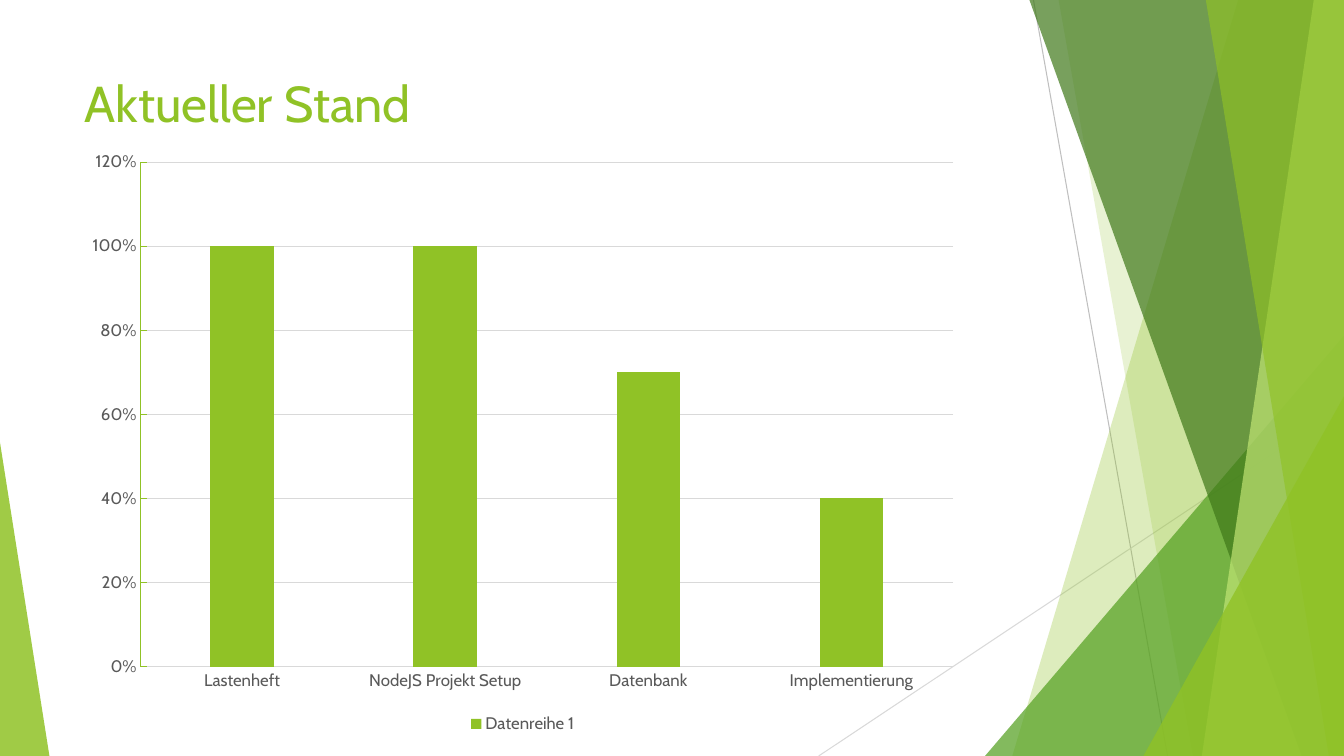
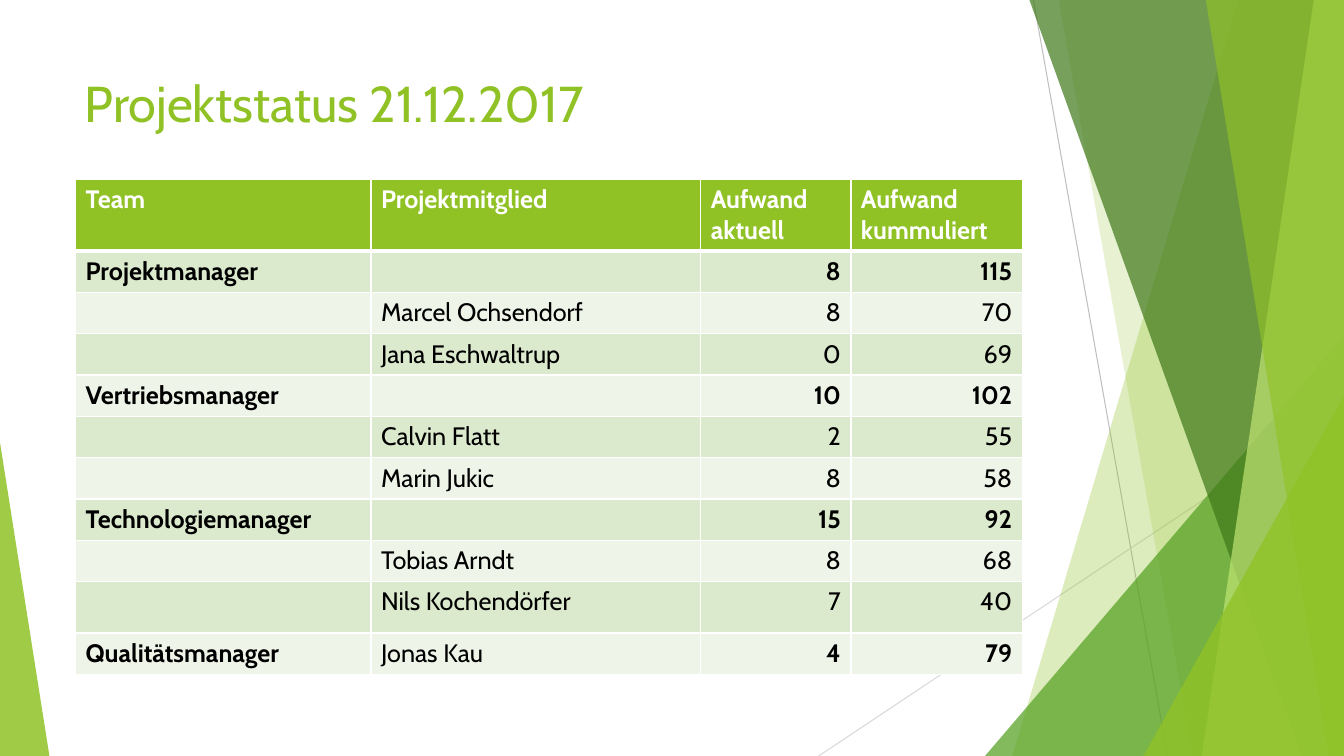
from lxml import etree
from pptx import Presentation
from pptx.chart.data import CategoryChartData
from pptx.dml.color import RGBColor
from pptx.enum import chart as ch, shapes as sh, text as tx
from pptx.oxml import ns
from pptx.util import Inches, Pt

FONT = "Cabin"
COLORS = {
    "lime": "90C226", "green": "54A021", "forest": "3F7819", "pale": "C0E474",
    "white": "FFFFFF", "black": "000000", "label": "595959",
    "grid": "D9D9D9", "ray": "BFBFBF",
    "band_dark": "DBE9CD", "band_light": "EEF4E8",
}
WIDTH, HEIGHT = 13.33, 7.5

# Backdrop: rays (start, end, colour), right-hand shards (left x at top,
# left x at bottom, colour, opacity) and corners (box, apex, colour, opacity)
RAYS = [((10.25, 0), (11.58, HEIGHT), "ray"),
        ((WIDTH, 4.03), (8.12, HEIGHT), "grid")]
BACK_SHARDS = [(12.28, 10.04, "lime", 30), (10.5, 11.83, "lime", 20)]
FRONT_SHARDS = [(10.21, 12.91, "forest", 70), (13.03, 11.92, "pale", 70),
                (11.96, 13.18, "lime", 65)]
BACK_CORNERS = [((9.77, 3.33, 3.56, 4.17), 1, "green", 72)]
FRONT_CORNERS = [((11.34, 3.93, 1.99, 3.57), 1, "lime", 80),
                 ((0, 4.39, 0.49, 3.11), 0, "lime", 85)]

PROGRESS = {"Lastenheft": 1, "NodeJS Projekt Setup": 1,
            "Datenbank": 0.7, "Implementierung": 0.4}

EFFORT_HEAD = ("Team", "Projektmitglied", "Aufwand aktuell", "Aufwand kummuliert")
EFFORT = [
    ("Projektmanager", "", 8, 115),
    ("", "Marcel Ochsendorf", 8, 70),
    ("", "Jana Eschwaltrup", 0, 69),
    ("Vertriebsmanager", "", 10, 102),
    ("", "Calvin Flatt", 2, 55),
    ("", "Marin Jukic", 8, 58),
    ("Technologiemanager", "", 15, 92),
    ("", "Tobias Arndt", 8, 68),
    ("", "Nils Kochendörfer", 7, 40),
    ("Qualitätsmanager", "Jonas Kau", 4, 79),
]
COLUMN_WIDTHS = (2.93, 3.27, 1.49, 1.7)
ROW_HEIGHTS = [0.71] + [0.41] * 8 + [0.51, 0.41]


def rgb(color):
    return RGBColor.from_string(COLORS[color])


def inches(values):
    return [Inches(value) for value in values]


def set_font(font, size, color, **settings):
    for key, value in {"name": FONT, "size": Pt(size), **settings}.items():
        setattr(font, key, value)
    font.color.rgb = rgb(color)


def set_line(line, color, width=0.75):
    line.color.rgb = rgb(color)
    line.width = Pt(width)


# Backdrop
def paint(shape, color, opacity):
    shape.shadow.inherit = False
    shape.fill.solid()
    shape.fill.fore_color.rgb = rgb(color)
    shape.line.fill.background()
    tint = shape.element.spPr.find(ns.qn("a:solidFill"))[0]
    etree.SubElement(tint, ns.qn("a:alpha"), val=str(opacity * 1000))


def add_ray(shapes, start, end, color):
    ray = shapes.add_connector(sh.MSO_CONNECTOR.STRAIGHT, *inches(start + end))
    set_line(ray.line, color)
    etree.SubElement(ray.element.spPr, ns.qn("a:effectLst"))


def add_shard(shapes, top_x, bottom_x, color, opacity):
    outline = shapes.build_freeform(Inches(top_x), 0)
    corners = [(WIDTH, 0), (WIDTH, HEIGHT), (bottom_x, HEIGHT)]
    outline.add_line_segments([inches(corner) for corner in corners], close=True)
    paint(outline.convert_to_shape(), color, opacity)


def add_corner(shapes, box, apex, color, opacity):
    corner = shapes.add_shape(sh.MSO_SHAPE.ISOSCELES_TRIANGLE, *inches(box))
    corner.adjustments[0] = apex
    paint(corner, color, opacity)


def move_backdrop_to_layout(slide, layout):
    """Draw the backdrop once and let every slide inherit it."""
    for placeholder in list(layout.placeholders)[1:]:
        layout.shapes.element.remove(placeholder.element)
    backdrop = slide.shapes.add_group_shape()
    for add, parts in ((add_ray, RAYS), (add_shard, BACK_SHARDS),
                       (add_corner, BACK_CORNERS), (add_shard, FRONT_SHARDS),
                       (add_corner, FRONT_CORNERS)):
        for part in parts:
            add(backdrop.shapes, *part)
    layout.shapes.element.insert(2, backdrop.element)


# Slide content
def add_titled_slide(deck, layout, heading):
    slide = deck.slides.add_slide(layout)
    title = slide.shapes.title
    place = zip(("left", "top", "width", "height"), (0.74, 0.67, 9.4, 1.44))
    for side, value in place:
        setattr(title, side, Inches(value))
    title.text = heading
    title.text_frame.vertical_anchor = tx.MSO_ANCHOR.TOP
    paragraph = title.text_frame.paragraphs[0]
    paragraph.alignment = tx.PP_ALIGN.LEFT
    set_font(paragraph.runs[0].font, 36, "lime")
    return slide


def style_axis(axis, line_color, tick):
    axis.major_tick_mark = tick
    axis.minor_tick_mark = ch.XL_TICK_MARK.NONE
    set_line(axis.format.line, line_color)
    set_font(axis.tick_labels.font, 12, "label")


def add_progress_chart(slide):
    data = CategoryChartData(number_format="0%")
    data.categories = list(PROGRESS)
    data.add_series("Datenreihe 1", list(PROGRESS.values()))
    chart = slide.shapes.add_chart(ch.XL_CHART_TYPE.COLUMN_CLUSTERED,
                                   *inches((0.74, 1.39, 8.89, 5.93)), data).chart
    set_font(chart.font, 10, "black")
    chart.has_title = False

    chart.has_legend = True
    chart.legend.position = ch.XL_LEGEND_POSITION.BOTTOM
    chart.legend.include_in_layout = False
    set_font(chart.legend.font, 12, "label")

    style_axis(chart.category_axis, "grid", ch.XL_TICK_MARK.NONE)
    percent = chart.value_axis
    style_axis(percent, "lime", ch.XL_TICK_MARK.INSIDE)
    scale = {"minimum_scale": 0, "maximum_scale": 1.2, "major_unit": 0.2}
    for key, value in scale.items():
        setattr(percent, key, value)
    percent.tick_labels.number_format = "0%"
    percent.tick_labels.number_format_is_linked = False
    set_line(percent.major_gridlines.format.line, "grid")

    plot = chart.plots[0]
    bars = {"gap_width": 219, "overlap": -27, "vary_by_categories": False}
    for key, value in bars.items():
        setattr(plot, key, value)
    columns = plot.series[0].format.fill
    columns.solid()
    columns.fore_color.rgb = rgb("lime")


def set_borders(cell, bottom_width):
    props = cell._tc.get_or_add_tcPr()
    widths = {"lnL": 1, "lnR": 1, "lnT": 1, "lnB": bottom_width}
    for position, (side, width) in enumerate(widths.items()):
        border = etree.Element(ns.qn("a:" + side), w=str(Pt(width)))
        fill = etree.SubElement(border, ns.qn("a:solidFill"))
        etree.SubElement(fill, ns.qn("a:srgbClr"), val=COLORS["white"])
        props.insert(position, border)


def fill_cell(cell, content, fill, color, bold, bottom_width=1):
    cell.fill.solid()
    cell.fill.fore_color.rgb = rgb(fill)
    set_borders(cell, bottom_width)
    cell.text = str(content)
    paragraph = cell.text_frame.paragraphs[0]
    set_font(paragraph.font, 18, color, bold=bold)
    for run in paragraph.runs:
        set_font(run.font, 18, color, bold=bold)
    if isinstance(content, int):
        paragraph.alignment = tx.PP_ALIGN.RIGHT


def add_effort_table(slide):
    box = (0.75, 1.78, sum(COLUMN_WIDTHS), sum(ROW_HEIGHTS))
    table = slide.shapes.add_table(len(ROW_HEIGHTS), len(COLUMN_WIDTHS),
                                   *inches(box)).table
    for column, width in zip(table.columns, COLUMN_WIDTHS):
        column.width = Inches(width)
    for row, height in zip(table.rows, ROW_HEIGHTS):
        row.height = Inches(height)

    for col, label in enumerate(EFFORT_HEAD):
        fill_cell(table.cell(0, col), label, "lime", "white", True, 3)
    for row, entry in enumerate(EFFORT, 1):
        band = "band_dark" if row % 2 else "band_light"
        for col, content in enumerate(entry):
            # Team rows are bold, except for the member's name
            bold = bool(entry[0]) and col != 1
            fill_cell(table.cell(row, col), content, band, "black", bold)


def main():
    deck = Presentation()
    deck.slide_width, deck.slide_height = inches((WIDTH, HEIGHT))
    layout = deck.slide_layouts.get_by_name("Title Only")

    progress = add_titled_slide(deck, layout, "Aktueller Stand")
    move_backdrop_to_layout(progress, layout)
    add_progress_chart(progress)

    status = add_titled_slide(deck, layout, "Projektstatus 21.12.2017")
    add_effort_table(status)

    deck.save("out.pptx")


if __name__ == "__main__":
    main()
